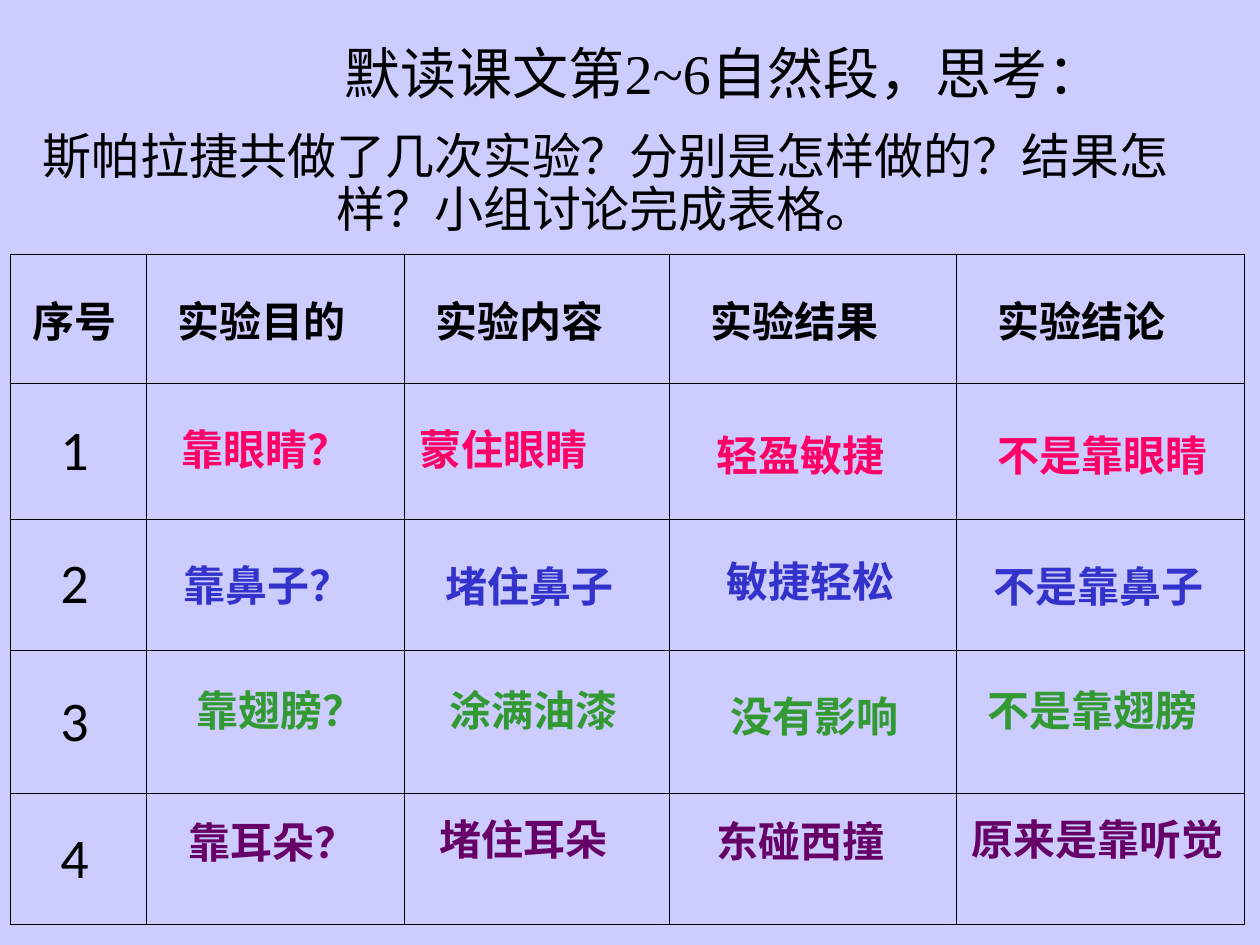
import pptx
import pptx.util
import pptx.dml.color
import pptx.enum.text
import pptx.oxml
import pptx.oxml.ns
from pptx.util import Inches

COLORS = {
    "background": "CCCCFF",
    "text": "000000",
    "eyes": "FF0066",
    "nose": "3333CC",
    "wings": "339933",
    "ears": "660066",
}
SERIF = "Times New Roman"
SANS = "Calibri"
COLUMN_WIDTHS = [1.08, 2.05, 2.1, 2.28, 2.29]
ROW_HEIGHTS = [1.02, 1.08, 1.04, 1.14, 1.04]
HEADERS = [
    ("序号", 0.18),
    ("实验目的", 0.25),
    ("实验内容", 0.25),
    ("实验结果", 0.33),
    ("实验结论", 0.33),
]
ANSWERS = {
    "eyes": [
        ("靠眼睛？", 1.34, 3.31, 1.64),
        ("蒙住眼睛", 3.23, 3.31, 1.77),
        ("轻盈敏捷", 5.59, 3.36, 1.62),
        ("不是靠眼睛", 7.82, 3.36, 2.01),
    ],
    "nose": [
        ("靠鼻子？", 1.36, 4.39, 1.68),
        ("堵住鼻子", 3.44, 4.4, 1.56),
        ("敏捷轻松", 5.67, 4.36, 1.56),
        ("不是靠鼻子", 7.79, 4.4, 1.99),
    ],
    "wings": [
        ("靠翅膀？", 1.46, 5.38, 1.67),
        ("涂满油漆", 3.47, 5.38, 1.77),
        ("没有影响", 5.7, 5.43, 1.66),
        ("不是靠翅膀", 7.74, 5.38, 2.03),
    ],
    "ears": [
        ("靠耳朵？", 1.4, 6.43, 1.56),
        ("堵住耳朵", 3.39, 6.41, 1.81),
        ("东碰西撞", 5.59, 6.42, 1.82),
        ("原来是靠听觉", 7.61, 6.41, 2.22),
    ],
}


def rgb(name):
    return pptx.dml.color.RGBColor.from_string(COLORS[name])


def write(frame, text, size, font, color="text", bold=False, align=None):
    frame.text = text
    frame.word_wrap = True
    paragraph = frame.paragraphs[0]
    paragraph.alignment = align
    for span in paragraph.runs:
        span.font.size = pptx.util.Pt(size)
        span.font.name = font
        span.font.bold = bold
        span.font.color.rgb = rgb(color)
    return paragraph


def add_text(page, left, top, width, height, text, size, **style):
    box = page.shapes.add_textbox(
        Inches(left), Inches(top), Inches(width), Inches(height))
    return write(box.text_frame, text, size, SERIF, **style)


def place_heading(page):
    center = pptx.enum.text.PP_ALIGN.CENTER
    title = page.shapes.title
    title.left, title.top = Inches(2.2), Inches(0.06)
    title.width, title.height = Inches(7.09), Inches(1.02)
    title.text_frame.vertical_anchor = pptx.enum.text.MSO_ANCHOR.MIDDLE
    write(title.text_frame, "默读课文第2~6自然段，思考：", 32, SERIF, align=center)
    question = add_text(
        page, 0.18, 1, 9.25, 1.03,
        "斯帕拉捷共做了几次实验？分别是怎样做的？结果怎样？小组讨论完成表格。",
        28, align=center)
    question.line_spacing = 0.9


def add_borders(cell):
    properties = cell._tc.get_or_add_tcPr()
    namespace = pptx.oxml.ns.nsdecls("a")
    for index, side in enumerate(["lnL", "lnR", "lnT", "lnB"]):
        properties.insert(index, pptx.oxml.parse_xml(
            f'<a:{side} {namespace} w="5715"><a:solidFill>'
            f'<a:srgbClr val="{COLORS["text"]}"/></a:solidFill></a:{side}>'))


def place_table(page, left, top):
    table = page.shapes.add_table(
        len(ROW_HEIGHTS), len(COLUMN_WIDTHS), Inches(left), Inches(top),
        Inches(sum(COLUMN_WIDTHS)), Inches(sum(ROW_HEIGHTS))).table
    table.first_row = False
    table.horz_banding = False
    for column, width in zip(table.columns, COLUMN_WIDTHS):
        column.width = Inches(width)
    for row, height in zip(table.rows, ROW_HEIGHTS):
        row.height = Inches(height)
    for cell in table.iter_cells():
        cell.fill.background()
        cell.vertical_anchor = pptx.enum.text.MSO_ANCHOR.MIDDLE
        add_borders(cell)
    for column, (header, indent) in enumerate(HEADERS):
        cell = table.cell(0, column)
        cell.margin_left = Inches(indent)
        write(cell.text_frame, header, 24, SANS, bold=True)
    for number in range(1, len(ROW_HEIGHTS)):
        cell = table.cell(number, 0)
        cell.margin_left = Inches(0.4)
        write(cell.text_frame, str(number), 32, SANS)


def place_answers(page):
    for color, answers in ANSWERS.items():
        for text, left, top, width in answers:
            add_text(page, left, top, width, 0.5, text, 24, color=color, bold=True)


def main():
    deck = pptx.Presentation()
    deck.slide_width, deck.slide_height = Inches(10), Inches(7.5)
    page = deck.slides.add_slide(deck.slide_layouts[5])
    page.background.fill.solid()
    page.background.fill.fore_color.rgb = rgb("background")
    place_heading(page)
    place_table(page, 0.08, 2.02)
    place_answers(page)
    deck.save("out.pptx")


if __name__ == "__main__":
    main()
